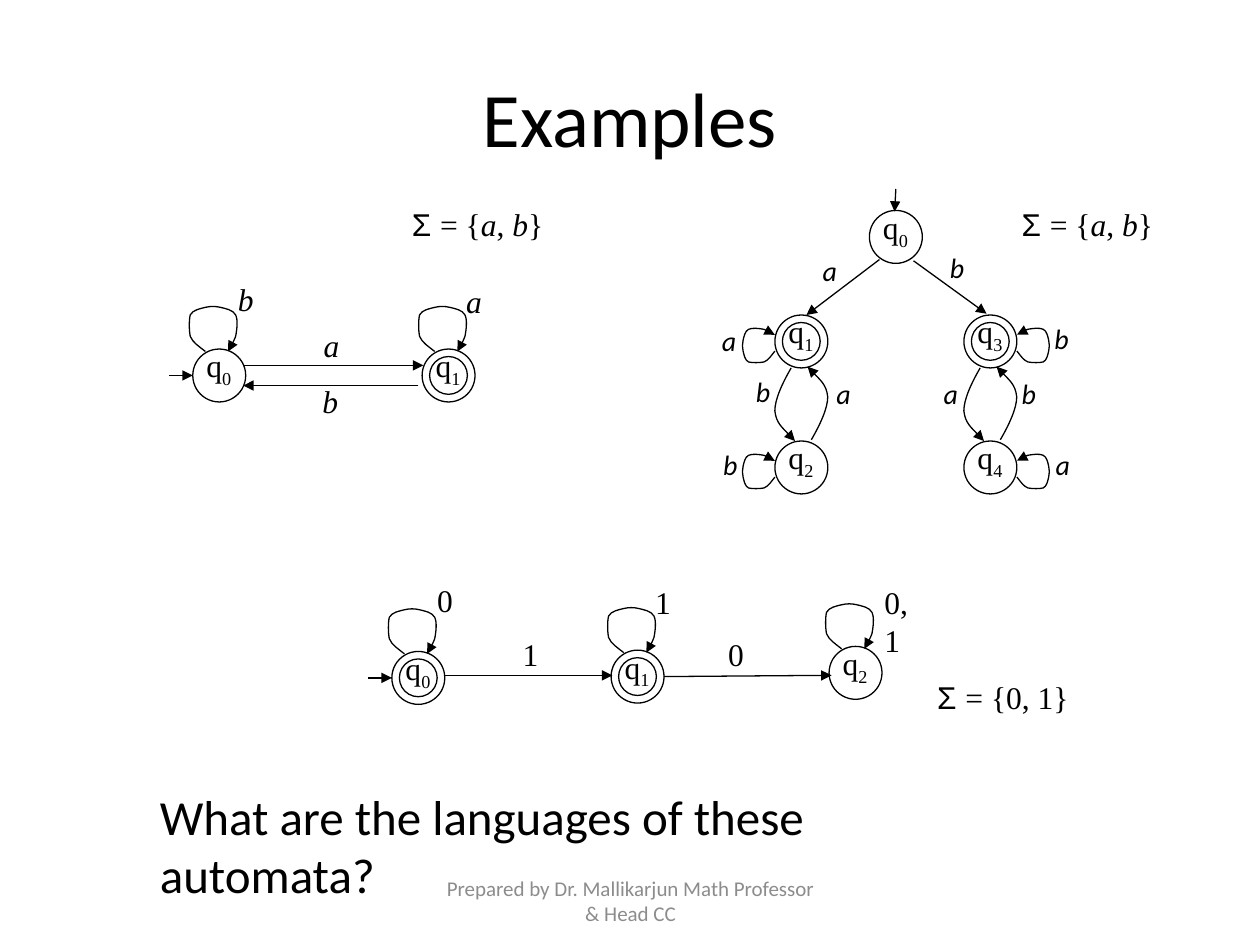
from dataclasses import dataclass

from lxml import etree
from pptx import Presentation
from pptx import util as u
from pptx.dml import color
from pptx.enum import shapes, text
from pptx.oxml import ns


@dataclass(frozen=True)
class Theme:
    ink: str = "000000"
    muted: str = "8C8C8C"
    sans: str = "Calibri"
    serif: str = "Times New Roman"
    symbol: str = "Arial"
    title_size: int = 44
    question_size: int = 28
    math_size: int = 18
    small_size: int = 16
    footer_size: int = 12
    line_width: float = 0.75


THEME = Theme()
STATE_SIZE, INNER_SIZE = 0.42, 0.3
LOOP_WIDTH, LOOP_HEIGHT, SIDE_SCALE = 0.39, 0.36, 0.72

# Bezier points: a start, then three points per curve
LOOP = [(0.13, 0.36), (0.08, 0.32), (0.03, 0.29), (0.01, 0.24),
        (0, 0.19), (0, 0.11), (0.01, 0.07), (0.03, 0.03), (0.09, 0.02),
        (0.13, 0.01), (0.17, 0), (0.21, 0), (0.25, 0.01),
        (0.29, 0.02), (0.35, 0.03), (0.37, 0.07),
        (0.39, 0.11), (0.38, 0.19), (0.37, 0.24),
        (0.35, 0.29), (0.33, 0.32), (0.31, 0.36)]
ARC_DOWN = [(0.13, 0), (0.06, 0.12), (0, 0.25), (0, 0.34),
            (0.01, 0.44), (0.16, 0.58), (0.16, 0.58)]
ARC_UP = [(0.16 - x, 0.58 - y) for x, y in ARC_DOWN]


def add_text(slide, box, runs, wrap=False, grow=True, centred=False, middle=False):
    """Each run is (text, size, font, options)."""
    shape = slide.shapes.add_textbox(*map(u.Inches, box))
    frame = shape.text_frame
    frame.word_wrap = wrap
    frame.auto_size = (text.MSO_AUTO_SIZE.SHAPE_TO_FIT_TEXT if grow
                       else text.MSO_AUTO_SIZE.NONE)
    frame.vertical_anchor = text.MSO_ANCHOR.MIDDLE if middle else text.MSO_ANCHOR.TOP
    paragraph = frame.paragraphs[0]
    paragraph.alignment = text.PP_ALIGN.CENTER if centred else text.PP_ALIGN.LEFT
    for content, size, font, options in runs:
        run = paragraph.add_run()
        run.text = content
        run.font.size = u.Pt(size)
        run.font.name = font
        run.font.italic = options.get("italic", False)
        run.font.color.rgb = color.RGBColor.from_string(options.get("color", THEME.ink))
        if options.get("subscript"):
            run.font._element.set("baseline", "-25000")


def math_run(content, **options):
    return content, THEME.math_size, THEME.serif, options


def add_math_label(slide, left, top, content, italic=False, width=0.32, wrap=False):
    add_text(slide, (left, top, width, 0.4), [math_run(content, italic=italic)], wrap)


def add_small_label(slide, left, top, content):
    run = (content, THEME.small_size, THEME.sans, {"italic": True})
    add_text(slide, (left, top, 0.39, 0.37), [run])


def add_alphabet(slide, left, top, runs):
    sigma = ("Σ ", THEME.math_size, THEME.symbol, {})
    add_text(slide, (left, top, 1.24, 0.4), [sigma] + runs)


def style_line(shape, arrow=True):
    shape.line.color.rgb = color.RGBColor.from_string(THEME.ink)
    shape.line.width = u.Pt(THEME.line_width)
    if arrow:
        etree.SubElement(shape.line._get_or_add_ln(), ns.qn("a:tailEnd"), type="triangle")


def add_circle(slide, left, top, size):
    shape = slide.shapes.add_shape(
        shapes.MSO_SHAPE.OVAL, *map(u.Inches, (left, top, size, size)))
    shape.shadow.inherit = False
    shape.fill.background()
    style_line(shape, arrow=False)


def add_state(slide, left, top, number, accepting=False):
    add_circle(slide, left, top, STATE_SIZE)
    if accepting:
        inset = (STATE_SIZE - INNER_SIZE) / 2
        add_circle(slide, left + inset, top + inset, INNER_SIZE)
    add_text(slide, (left + 0.01, top - 0.07, 0.4, 0.4),
             [math_run("q"), math_run(number, subscript=True)])


def add_arrow(slide, *ends):
    connector = slide.shapes.add_connector(
        shapes.MSO_CONNECTOR.STRAIGHT, *map(u.Inches, ends))
    style_line(connector)
    etree.SubElement(connector._element.spPr, ns.qn("a:effectLst"))


def add_curve(slide, left, top, points, rotation=0):
    places = [(u.Inches(left + x), u.Inches(top + y)) for x, y in points]
    builder = slide.shapes.build_freeform(*places[0], scale=1.0)
    builder.add_line_segments(places[1:], close=False)
    shape = builder.convert_to_shape()
    # Turn each three straight segments into one Bezier curve
    outline = shape._element.find(".//" + ns.qn("a:path"))
    segments = outline.findall(ns.qn("a:lnTo"))
    for index in range(0, len(segments), 3):
        curve = etree.SubElement(outline, ns.qn("a:cubicBezTo"))
        for segment in segments[index:index + 3]:
            curve.append(segment[0])
            outline.remove(segment)
    shape.rotation = rotation
    shape.shadow.inherit = False
    shape.fill.background()
    style_line(shape)


def add_top_loop(slide, left, top):
    add_curve(slide, left - 0.03, top - 0.34, LOOP)


def add_side_loop(slide, left, top, on_left):
    points = [((x if on_left else LOOP_WIDTH - x) * SIDE_SCALE, y * SIDE_SCALE)
              for x, y in LOOP]
    offset = -0.27 if on_left else 0.41
    add_curve(slide, left + offset, top + 0.11, points, 270 if on_left else 90)


def draw_two_state_automaton(slide):
    top = 2.77
    for left, number, accepting in ((1.53, "0", False), (3.35, "1", True)):
        add_state(slide, left, top, number, accepting)
        add_top_loop(slide, left, top)
    add_arrow(slide, 1.34, 2.98, 1.53, 2.98)
    add_arrow(slide, 1.94, 2.9, 3.36, 2.9)
    add_arrow(slide, 3.32, 3.06, 1.93, 3.06)
    for left, label_top, content in ((1.79, 2.17, "b"), (3.6, 2.19, "a"),
                                     (2.46, 2.98, "b"), (2.47, 2.54, "a")):
        add_math_label(slide, left, label_top, content, italic=True)


def draw_tree_automaton(slide):
    add_state(slide, 6.9, 1.67, "0")
    add_arrow(slide, 7.11, 1.5, 7.1, 1.68)
    add_arrow(slide, 6.98, 2.06, 6.4, 2.5)
    add_arrow(slide, 7.25, 2.07, 7.83, 2.49)
    # Two branches, each an accepting state above a plain one
    for left, upper, lower, on_left in ((6.15, "1", "2", True), (7.65, "3", "4", False)):
        for top, number in ((2.5, upper), (3.5, lower)):
            add_state(slide, left, top, number, accepting=number == upper)
            add_side_loop(slide, left, top, on_left)
        add_curve(slide, left, 2.92, ARC_DOWN)
        add_curve(slide, left + 0.26, 2.91, ARC_UP)
    labels = {"a": [(6.43, 1.96), (5.63, 2.52), (6.54, 2.94), (7.39, 2.94), (8.28, 3.5)],
              "b": [(7.44, 1.94), (8.27, 2.5), (8.01, 2.94), (5.9, 2.92), (5.64, 3.5)]}
    for content, places in labels.items():
        for left, top in places:
            add_small_label(slide, left, top, content)


def draw_binary_automaton(slide):
    for left, top, number, accepting in ((3.11, 5.17, "0", True), (4.85, 5.16, "1", True),
                                         (6.58, 5.13, "2", False)):
        add_state(slide, left, top, number, accepting)
        add_top_loop(slide, left, top)
    add_arrow(slide, 2.92, 5.38, 3.11, 5.38)
    add_arrow(slide, 3.53, 5.36, 4.86, 5.36)
    add_arrow(slide, 5.27, 5.37, 6.6, 5.36)
    for left, top, content in ((3.37, 4.56, "0"), (5.1, 4.58, "1"),
                               (4.05, 4.99, "1"), (5.68, 4.99, "0")):
        add_math_label(slide, left, top, content)
    add_math_label(slide, 6.92, 4.58, "0, 1", width=0.57, wrap=True)


def main():
    presentation = Presentation()
    presentation.slide_width, presentation.slide_height = u.Inches(10), u.Inches(7.5)
    slide = presentation.slides.add_slide(presentation.slide_layouts[6])

    # Title and question
    add_text(slide, (0.5, 0.3, 9, 1.25), [("Examples", THEME.title_size, THEME.sans, {})],
             wrap=True, grow=False, centred=True, middle=True)
    add_text(slide, (1.17, 6.19, 7.05, 0.57),
             [("What are the languages of these automata?",
               THEME.question_size, THEME.sans, {})], wrap=True)

    # Automata
    draw_two_state_automaton(slide)
    draw_tree_automaton(slide)
    draw_binary_automaton(slide)

    # Alphabets
    letters = [math_run("= {"), math_run("a", italic=True), math_run(", "),
               math_run("b", italic=True), math_run("}")]
    add_alphabet(slide, 3.17, 1.58, letters)
    add_alphabet(slide, 8.01, 1.58, letters)
    add_alphabet(slide, 7.34, 5.33, [math_run("= {0, 1}")])

    # Footer
    add_text(slide, (3.42, 6.95, 3.17, 0.4),
             [("Prepared by Dr. Mallikarjun Math Professor & Head CC",
               THEME.footer_size, THEME.sans, {"color": THEME.muted})],
             wrap=True, grow=False, centred=True, middle=True)
    presentation.save("out.pptx")


if __name__ == "__main__":
    main()
